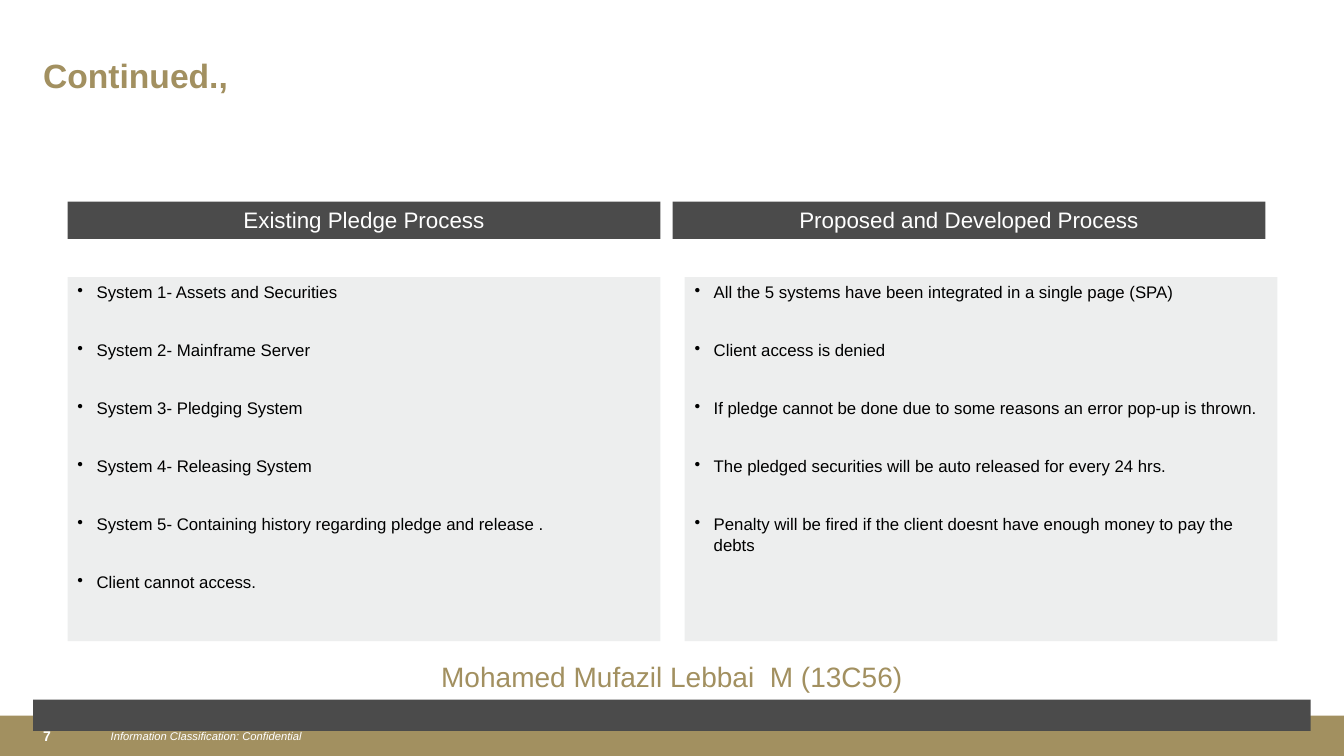
from dataclasses import dataclass

from lxml.etree import SubElement
from pptx import Presentation
from pptx.dml.color import RGBColor
from pptx.enum.shapes import MSO_SHAPE as Preset
from pptx.enum.text import MSO_ANCHOR as Anchor, PP_ALIGN as Align
from pptx.oxml.ns import qn
from pptx.shapes.autoshape import Shape
from pptx.slide import Slide
from pptx.util import Inches, Pt

GOLD = RGBColor(0xA2, 0x90, 0x60)
CHARCOAL = RGBColor(0x4B, 0x4B, 0x4B)
PALE_GREY = RGBColor(0xED, 0xEE, 0xEE)
WHITE = RGBColor(0xFF, 0xFF, 0xFF)
BLACK = RGBColor(0x00, 0x00, 0x00)

FONT = "Arial"
BULLET_INDENT = Inches(0.19)
MARGIN = 0.33
CONTENT_WIDTH = 12.67
PANEL_WIDTH = 5.88


@dataclass(frozen=True)
class Box:
    left: float
    top: float
    width: float
    height: float

    def emu(self) -> tuple[int, int, int, int]:
        return (Inches(self.left), Inches(self.top),
                Inches(self.width), Inches(self.height))


@dataclass(frozen=True)
class ProcessColumn:
    heading: str
    heading_left: float
    panel_left: float
    points: tuple[str, ...]


COLUMNS = (
    ProcessColumn("Existing Pledge Process", 0.67, 0.67, (
        "System 1- Assets and Securities",
        "System 2- Mainframe Server",
        "System 3- Pledging System",
        "System 4- Releasing System",
        "System 5- Containing history regarding pledge and release .",
        "Client cannot access.",
    )),
    ProcessColumn("Proposed and Developed Process", 6.67, 6.79, (
        "All the 5 systems have been integrated in a single page (SPA)",
        "Client access is denied",
        "If pledge cannot be done due to some reasons an error pop-up is thrown.",
        "The pledged securities will be auto released for every 24 hrs.",
        "Penalty will be fired if the client doesnt have enough money to pay the debts",
    )),
)


def add_band(slide: Slide, box: Box, fill: RGBColor) -> Shape:
    band = slide.shapes.add_shape(Preset.RECTANGLE, *box.emu())
    band.shadow.inherit = False
    band.fill.solid()
    band.fill.fore_color.rgb = fill
    band.line.fill.background()
    return band


def add_label(slide: Slide, box: Box) -> Shape:
    return slide.shapes.add_textbox(*box.emu())


def write(shape: Shape, *lines: str, size: float, color: RGBColor,
          bold: bool = False, italic: bool = False, bulleted: bool = False,
          align: Align = Align.LEFT, anchor: Anchor = Anchor.TOP,
          line_spacing: float = 1.0, space_after: float = 0,
          wrap: bool = True) -> None:
    frame = shape.text_frame
    frame.word_wrap = wrap
    frame.vertical_anchor = anchor
    for index, line in enumerate(lines):
        paragraph = frame.add_paragraph() if index else frame.paragraphs[0]
        paragraph.alignment = align
        paragraph.line_spacing = line_spacing
        paragraph.space_after = Pt(space_after)
        run = paragraph.add_run()
        run.text = line
        run.font.name = FONT
        run.font.size = Pt(size)
        run.font.bold = bold
        run.font.italic = italic
        run.font.color.rgb = color
        if bulleted:
            properties = paragraph._p.get_or_add_pPr()
            properties.set("marL", str(BULLET_INDENT))
            properties.set("indent", str(-BULLET_INDENT))
            SubElement(properties, qn("a:buChar"), char="•")


def add_footer(slide: Slide) -> None:
    add_band(slide, Box(0, 7.1, 13.33, 0.4), GOLD)
    write(add_label(slide, Box(MARGIN, 7.12, 0.6, 0.38)), "7",
          size=10, color=WHITE, bold=True, anchor=Anchor.MIDDLE,
          line_spacing=0.95, wrap=False)
    write(add_label(slide, Box(1, 7.19, 9.27, 0.24)),
          "Information Classification: Confidential",
          size=8, color=WHITE, italic=True, anchor=Anchor.MIDDLE,
          line_spacing=0.95)


def add_column(slide: Slide, column: ProcessColumn) -> None:
    heading = add_band(
        slide, Box(column.heading_left, 2, PANEL_WIDTH, 0.37), CHARCOAL)
    write(heading, column.heading, size=16, color=WHITE, align=Align.CENTER)
    panel = add_band(
        slide, Box(column.panel_left, 2.75, PANEL_WIDTH, 3.61), PALE_GREY)
    write(panel, *column.points, size=12, color=BLACK, bulleted=True,
          space_after=27)


def main() -> None:
    deck = Presentation()
    deck.slide_width, deck.slide_height = Inches(13.33), Inches(7.5)
    slide = deck.slides.add_slide(deck.slide_layouts[6])

    add_footer(slide)
    for column in COLUMNS:
        add_column(slide, column)
    write(add_label(slide, Box(MARGIN, 0.5, CONTENT_WIDTH, 0.5)),
          "Continued.,", size=24, color=GOLD, bold=True)
    add_band(slide, Box(MARGIN, 6.94, CONTENT_WIDTH, 0.31), CHARCOAL)
    write(add_label(slide, Box(MARGIN, 6.52, CONTENT_WIDTH, 0.37)),
          "Mohamed Mufazil Lebbai  M (13C56)", size=20, color=GOLD,
          align=Align.CENTER, anchor=Anchor.MIDDLE)

    deck.save("out.pptx")


if __name__ == "__main__":
    main()
